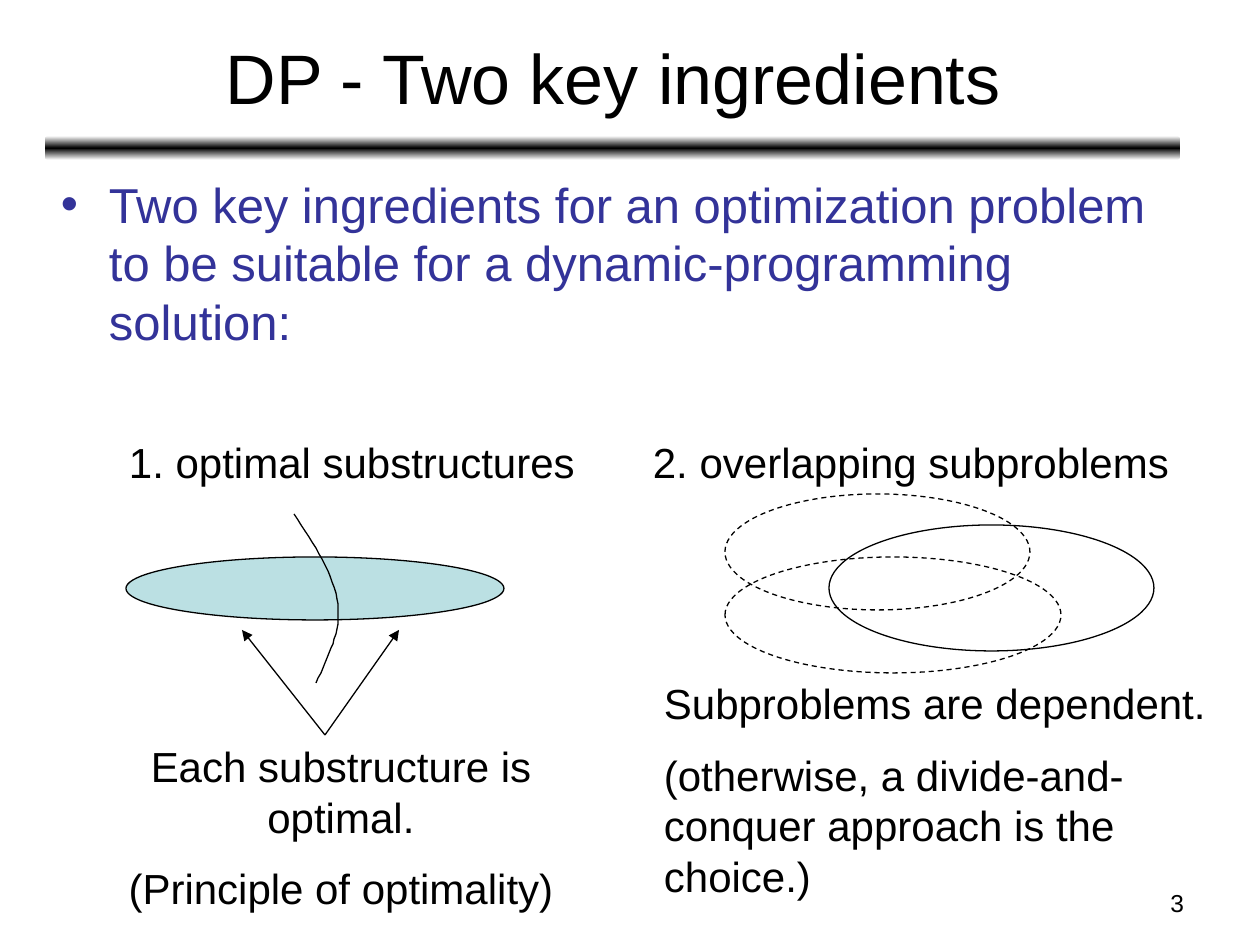
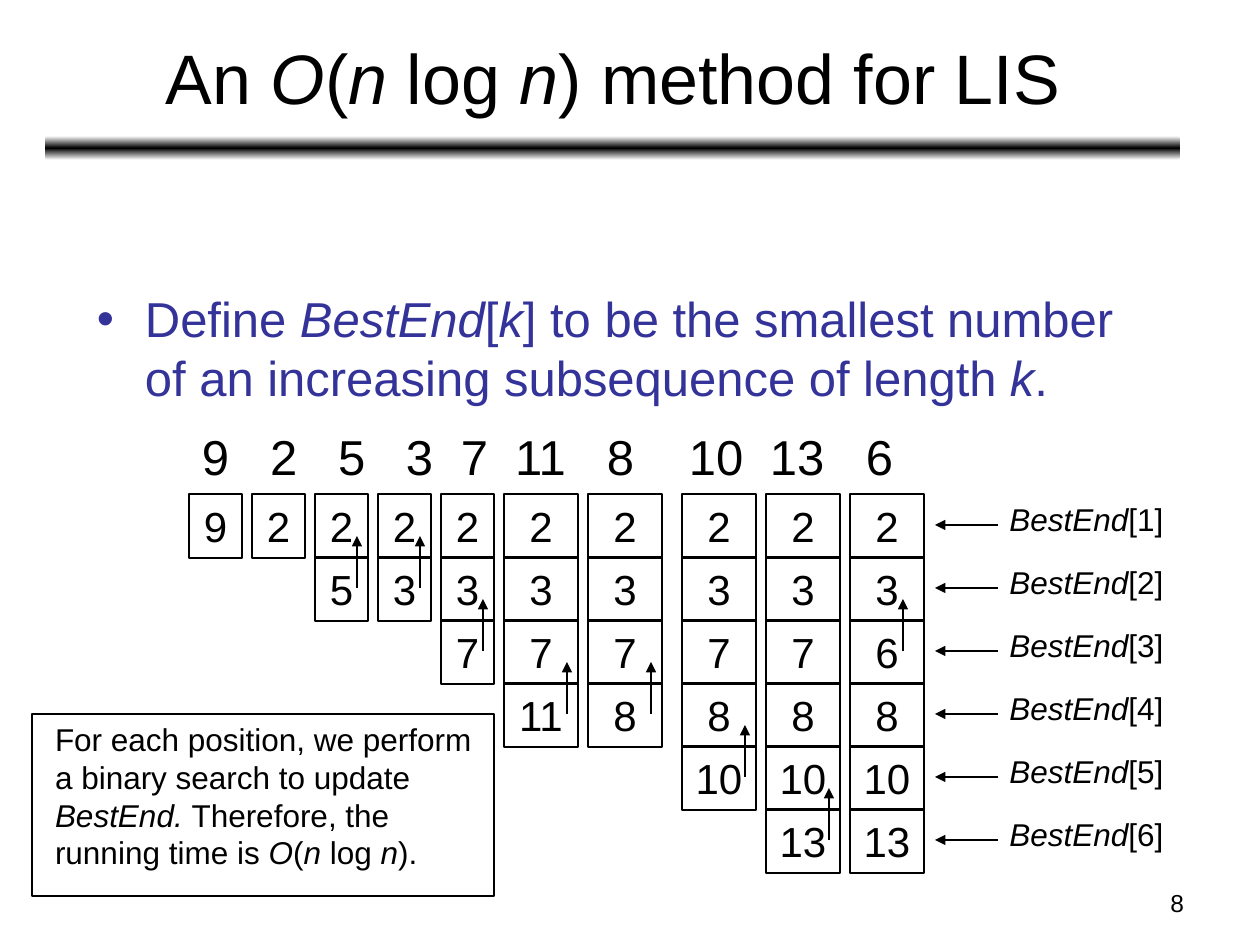
from lxml import etree
from pptx import Presentation
from pptx.dml.color import RGBColor as Rgb
from pptx.enum.dml import MSO_LINE as Dash
from pptx.enum.shapes import MSO_CONNECTOR as Link, MSO_SHAPE as Form
from pptx.enum.text import MSO_ANCHOR as Anchor, PP_ALIGN as Align
from pptx.oxml.ns import qn
from pptx.util import Pt

# Shared look
PX = 914400 // 126
BLACK, WHITE, NAVY, TEAL = "000000", "FFFFFF", "333399", "BBE0E3"
FACE = "Arial"
INSET = (13, 6, 13, 6)
TITLE = (46, 14, 1134, 125)
BAND = (45, 136, 1135, 24)
PAGE = (903, 882, 294, 44)

# Slide 1 content; *stars* mark italics
KEYS = {
    "title": "DP - Two key ingredients", "page": "3",
    "body": "Two key ingredients for an optimization problem to be "
            "suitable for a dynamic-programming solution:",
    "box": (48, 168, 1134, 699),
}
NOTES = [
    ((116, 431, 514, 63), Align.LEFT, ["1. optimal substructures"]),
    ((640, 431, 546, 63), Align.LEFT, ["2. overlapping subproblems"]),
    ((84, 735, 514, 185), Align.CENTER,
     ["Each substructure is optimal.", "(Principle of optimality)"]),
    ((651, 672, 609, 234), Align.LEFT,
     ["Subproblems are dependent.",
      "(otherwise, a divide-and-conquer approach is the choice.)"]),
]
OVALS = [
    ((126, 557, 378, 63), TEAL, None),
    ((725, 494, 305, 116), None, Dash.DASH),
    ((829, 525, 325, 126), None, None),
    ((725, 557, 336, 116), None, Dash.DASH),
]
CUT = [
    [(294, 514), (314, 544), (334, 575), (338, 604)],
    [(338, 604), (341, 631), (329, 656), (316, 683)],
]
FORK, TIPS = (325, 735), [(242, 630), (399, 630)]

# Slide 2 content
LIS = {
    "title": "An *O*(*n *log *n*) method for LIS", "page": "8",
    "body": "Define *BestEnd*[*k*] to be the smallest number of an "
            "increasing subsequence of length *k*.",
    "box": (84, 283, 1071, 567),
}
# Input number, tab stop, column left, values, changed row, arrow shift
STEPS = [
    (9, 0, 189, [9], None, 0),
    (2, 68, 252, [2], None, 0),
    (5, 136, 315, [2, 5], 1, 42),
    (3, 204, 378, [2, 3], 1, 42),
    (7, 259, 441, [2, 3, 7], 2, 42),
    (11, 313, 504, [2, 3, 7, 11], 3, 63),
    (8, 405, 588, [2, 3, 7, 8], 3, 63),
    (10, 487, 682, [2, 3, 7, 8, 10], 4, 63),
    (13, 568, 766, [2, 3, 7, 8, 10, 13], 5, 63),
    (6, 664, 850, [2, 3, 6, 8, 10, 13], 2, 53),
]
NARROW, WIDE, SPLIT = 53, 74, 504
TOP, PITCH, TALL = 494, 63, 64
ROW_BOX = (189, 420, 851, 147)
COST = ("For each position, we perform a binary search to update "
        "*BestEnd. *Therefore, the running time is *O*(*n *log *n*).")
COST_BOX = (32, 714, 462, 182)


# Helpers
def put(item, **vals):
    for name, val in vals.items():
        setattr(item, name, val)


def hue(code):
    return Rgb.from_string(code)


def emu(*vals):
    return [round(v * PX) for v in vals]


def write(shape, paras, size, color=BLACK, align=Align.LEFT, lead=0.5,
          anchor=Anchor.TOP, wrap=True, inset=INSET):
    frame = shape.text_frame
    sides = ("margin_left", "margin_top", "margin_right", "margin_bottom")
    put(frame, word_wrap=wrap, vertical_anchor=anchor,
        **dict(zip(sides, emu(*inset))))
    for i, words in enumerate(paras):
        para = frame.add_paragraph() if i else frame.paragraphs[0]
        put(para, alignment=align, space_before=Pt(size * lead))
        for j, part in enumerate(words.split("*")):
            if part:
                run = para.add_run()
                run.text = part
                put(run.font, size=Pt(size), name=FACE, italic=j % 2 == 1)
                run.font.color.rgb = hue(color)
    return frame.paragraphs[0]


def label(slide, box, paras, size, **look):
    return write(slide.shapes.add_textbox(*emu(*box)), paras, size, **look)


def ink(shape, fill=None, dash=None):
    shape.shadow.inherit = False
    if fill:
        shape.fill.solid()
        shape.fill.fore_color.rgb = hue(fill)
    else:
        shape.fill.background()
    shape.line.color.rgb = hue(BLACK)
    put(shape.line, width=Pt(0.75), dash_style=dash)
    return shape


def draw(slide, form, box, fill=None, dash=None):
    return ink(slide.shapes.add_shape(form, *emu(*box)), fill, dash)


def arrow(slide, start, end):
    line = slide.shapes.add_connector(Link.STRAIGHT, *emu(*start, *end))
    line.line.color.rgb = hue(BLACK)
    line.line.width = Pt(0.75)
    pen = line.line._get_or_add_ln()
    etree.SubElement(pen, qn("a:tailEnd"), type="triangle")
    etree.SubElement(line._element.spPr, qn("a:effectLst"))


def shade(shape):
    shape.shadow.inherit = False
    shape.line.fill.background()
    shape.fill.gradient()
    shape.fill.gradient_angle = 90
    stops = shape._element.spPr.find(qn("a:gradFill")).find(qn("a:gsLst"))
    for stop in list(stops):
        stops.remove(stop)
    for pos, code in ((0, WHITE), (50, BLACK), (100, WHITE)):
        stop = etree.SubElement(stops, qn("a:gs"), pos=str(pos * 1000))
        etree.SubElement(stop, qn("a:srgbClr"), val=code)


def bullet(para):
    props = para._p.get_or_add_pPr()
    dent = str(48 * PX)
    props.set("marL", dent)
    props.set("indent", "-" + dent)
    etree.SubElement(props, qn("a:buFont"), typeface=FACE)
    etree.SubElement(props, qn("a:buChar"), char="•")


def tabs(para, stops):
    row = etree.SubElement(para._p.get_or_add_pPr(), qn("a:tabLst"))
    for stop in stops:
        etree.SubElement(row, qn("a:tab"), pos=str(stop * PX), algn="l")


def curve(a, b, c, d, count=16):
    for i in range(count + 1):
        t = i / count
        u = 1 - t
        yield tuple(u**3 * p + 3 * u * u * t * q + 3 * u * t * t * r + t**3 * s
                    for p, q, r, s in zip(a, b, c, d))


# Title, band, page number and lead bullet
def start(deck, text):
    slide = deck.slides.add_slide(deck.slide_layouts[5])
    shade(slide.shapes.add_shape(Form.ROUNDED_RECTANGLE, *emu(*BAND)))
    head = slide.shapes.title
    put(head, **dict(zip(("left", "top", "width", "height"), emu(*TITLE))))
    write(head, [text["title"]], 40, align=Align.CENTER, lead=0,
          anchor=Anchor.MIDDLE)
    label(slide, PAGE, [text["page"]], 14, align=Align.RIGHT, lead=0)
    bullet(label(slide, text["box"], [text["body"]], 28, color=NAVY, lead=0.2))
    return slide


def add_keys(deck):
    slide = start(deck, KEYS)
    for box, fill, dash in OVALS:
        draw(slide, Form.OVAL, box, fill, dash)
    dots = [dot for part in CUT for dot in curve(*part)]
    pen = slide.shapes.build_freeform(*dots[0], scale=PX)
    pen.add_line_segments(dots[1:], close=False)
    ink(pen.convert_to_shape())
    for tip in TIPS:
        arrow(slide, FORK, tip)
    for box, align, paras in NOTES:
        label(slide, box, paras, 24, align=align)


def add_lis(deck):
    slide = start(deck, LIS)
    # Input row
    words = "\t".join(str(step[0]) for step in STEPS)
    tabs(label(slide, ROW_BOX, [words], 28), [s[1] for s in STEPS[1:]])
    # One column of cells per input number
    for _, _, left, vals, _, _ in STEPS:
        width = NARROW if left < SPLIT else WIDE
        for row, val in enumerate(vals):
            cell = draw(slide, Form.RECTANGLE,
                        (left, TOP + row * PITCH, width, TALL))
            write(cell, [str(val)], 24, align=Align.CENTER,
                  anchor=Anchor.MIDDLE, wrap=False)
    # Names of the rows
    for row in range(len(STEPS[-1][3])):
        y = TOP + row * PITCH
        arrow(slide, (998, y + 31), (935, y + 31))
        label(slide, (987, y, 199, 54), [f"*BestEnd*[{row + 1}]"], 18,
              align=Align.CENTER)
    # Arrows at the changed cells
    for _, _, left, _, row, shift in STEPS:
        if row is not None:
            x, y = left + shift, TOP + row * PITCH + 31
            arrow(slide, (x, y), (x, y - 52))
    note = draw(slide, Form.RECTANGLE, COST_BOX)
    write(note, [COST], 18, inset=(23, 6, 13, 6))


def main():
    deck = Presentation()
    put(deck, slide_width=1260 * PX, slide_height=945 * PX)
    add_keys(deck)
    add_lis(deck)
    deck.save("out.pptx")


if __name__ == "__main__":
    main()
